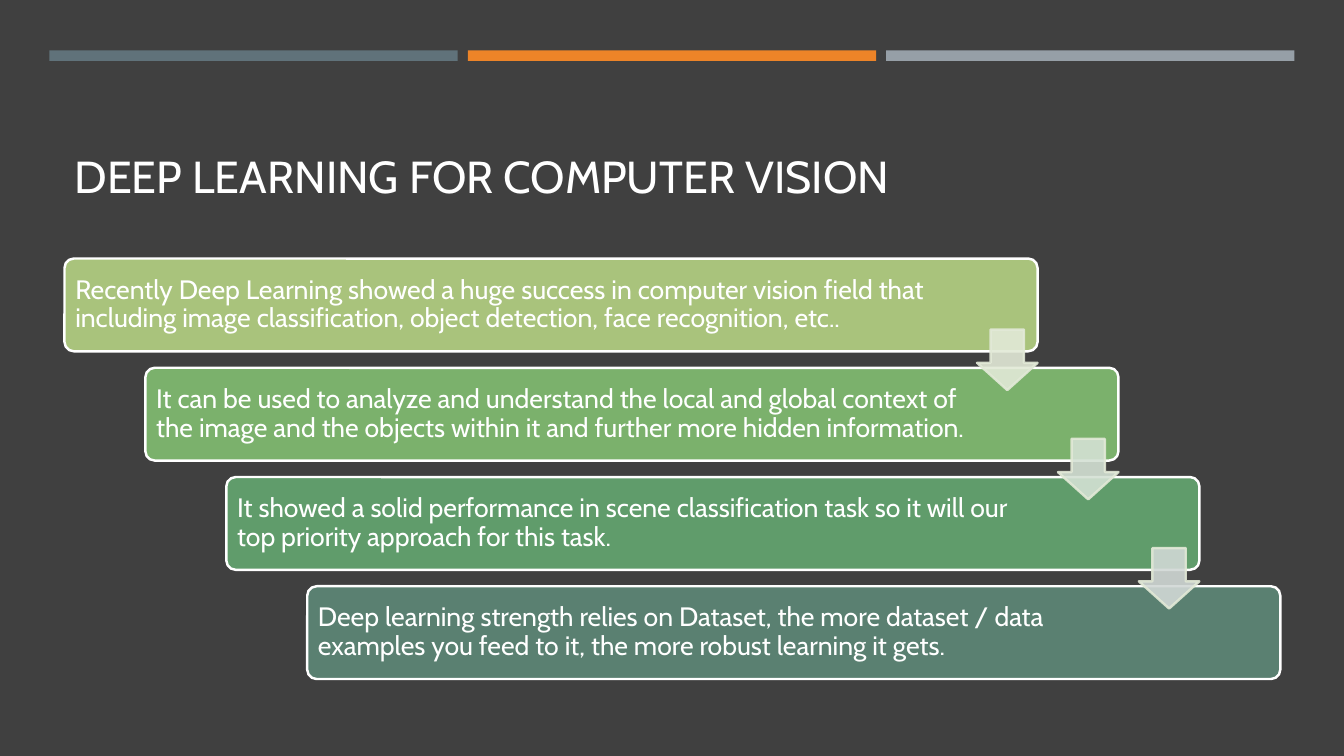
from lxml import etree
from pptx import Presentation
from pptx.dml.color import RGBColor
from pptx.enum.shapes import MSO_SHAPE
from pptx.enum.text import MSO_ANCHOR, MSO_AUTO_SIZE, PP_ALIGN
from pptx.oxml.ns import qn
from pptx.util import Inches, Pt

BAR = MSO_SHAPE.RECTANGLE
STEP = MSO_SHAPE.ROUNDED_RECTANGLE
ARROW = MSO_SHAPE.DOWN_ARROW
MIDDLE, BOTTOM = MSO_ANCHOR.MIDDLE, MSO_ANCHOR.BOTTOM
FIXED, LEFT = MSO_AUTO_SIZE.NONE, PP_ALIGN.LEFT

SLIDE_WIDTH, SLIDE_HEIGHT = Inches(13.33), Inches(7.5)
COLUMN, ROW = SLIDE_WIDTH / 100, SLIDE_HEIGHT / 100

COLORS = {
    "background": "404040",
    "text": "FFFFFF",
    "outline": "FFFFFF",
    "arrow_outline": "E2E9D7",
}
BAR_COLORS = ["60727A", "ED8428", "969FA7"]
ARROW_COLORS = ["E2E9D7", "D4E1D4", "D1D8D5"]

TITLE = "DEEP LEARNING FOR COMPUTER VISION"
STEPS = [
    ("Recently Deep Learning showed a huge success in computer vision field that "
     "including image classification, object detection, face recognition, etc..",
     "A9C37C", 1.1),
    ("It can be used to analyze and understand the local and global context of "
     "the image and the objects within it and further more hidden information.",
     "7BB16C", 1.48),
    ("It showed a solid performance in scene classification task so it will our "
     "top priority approach for this task.",
     "609C6B", 1.48),
    ("Deep learning strength relies on Dataset, the more dataset / data "
     "examples you feed to it, the more robust learning it gets.",
     "5A8071", 1.48),
]

BAR_LEFT, BAR_TOP, BAR_PITCH = 3.68, 6.67, 31.13
BAR_WIDTH, BAR_HEIGHT = 30.38, 1.4
STEP_LEFT, STEP_TOP = 4.8, 34.2
STEP_RIGHTWARD, STEP_DOWNWARD = 6.02, 14.45
STEP_WIDTH, STEP_HEIGHT = 72.4, 12.27
ARROW_WIDTH, ARROW_HEIGHT, ARROW_DROP = 4.5, 8, 9.4


def place(left, top, width, height):
    """Turn percentages of the slide into a box of lengths."""
    return (round(left * COLUMN), round(top * ROW),
            round(width * COLUMN), round(height * ROW))


def set_format(target, values):
    """Set every attribute named in values on the target."""
    for name, value in values.items():
        setattr(target, name, value)


def write(frame, text, size, frame_format):
    """Fill a text frame with one left-aligned paragraph."""
    set_format(frame, {"word_wrap": True, "auto_size": FIXED, **frame_format})
    paragraph = frame.paragraphs[0]
    paragraph.alignment = LEFT
    paragraph.line_spacing = 0.9
    run = paragraph.add_run()
    run.text = text
    set_format(run.font, {"name": "Cabin", "size": Pt(size)})
    run.font.color.rgb = RGBColor.from_string(COLORS["text"])


def add_block(slide, kind, box, fill, outline=None, adjustments=()):
    """Add a flat preset shape, outlined when an outline colour is given."""
    block = slide.shapes.add_shape(kind, *box)
    block.shadow.inherit = False
    block.fill.solid()
    block.fill.fore_color.rgb = RGBColor.from_string(fill)
    if outline:
        block.line.color.rgb = RGBColor.from_string(outline)
        block.line.width = Pt(1.75)
    else:
        block.line.fill.background()
    for index, share in enumerate(adjustments):
        block.adjustments[index] = share
    return block


def add_title(slide):
    """Place and format the title placeholder."""
    heading = slide.shapes.title
    left, top, width, height = place(STEP_LEFT, 10.27, 90.48, 17.33)
    set_format(heading, {"left": left, "top": top, "width": width, "height": height})
    write(heading.text_frame, TITLE, 32, {"vertical_anchor": BOTTOM})


def add_bar(slide, index, color):
    """Add one bar of the coloured strip at the top."""
    box = place(BAR_LEFT + index * BAR_PITCH, BAR_TOP, BAR_WIDTH, BAR_HEIGHT)
    add_block(slide, BAR, box, color)


def add_step(slide, index, text, color, right_margin):
    """Add one step of the staircase with its text."""
    box = place(STEP_LEFT + index * STEP_RIGHTWARD,
                STEP_TOP + index * STEP_DOWNWARD, STEP_WIDTH, STEP_HEIGHT)
    step = add_block(slide, STEP, box, color, COLORS["outline"], [0.1])
    write(step.text_frame, text, 19, {
        "vertical_anchor": MIDDLE,
        "margin_left": Inches(0.08),
        "margin_right": Inches(right_margin),
    })


def add_arrow(slide, index, color):
    """Add the translucent arrow from one step to the next."""
    box = place(STEP_LEFT + STEP_WIDTH - ARROW_WIDTH + index * STEP_RIGHTWARD,
                STEP_TOP + ARROW_DROP + index * STEP_DOWNWARD,
                ARROW_WIDTH, ARROW_HEIGHT)
    arrow = add_block(slide, ARROW, box, color, COLORS["arrow_outline"], [0.55, 0.45])
    for tint in arrow.element.spPr.iter(qn("a:srgbClr")):
        etree.SubElement(tint, qn("a:alpha"), val="90000")


def main():
    """Build the slide and save it."""
    deck = Presentation()
    set_format(deck, {"slide_width": SLIDE_WIDTH, "slide_height": SLIDE_HEIGHT})
    slide = deck.slides.add_slide(deck.slide_layouts.get_by_name("Title Only"))
    slide.background.fill.solid()
    slide.background.fill.fore_color.rgb = RGBColor.from_string(COLORS["background"])
    add_title(slide)
    for index, color in enumerate(BAR_COLORS):
        add_bar(slide, index, color)
    for index, step in enumerate(STEPS):
        add_step(slide, index, *step)
    for index, color in enumerate(ARROW_COLORS):
        add_arrow(slide, index, color)
    deck.save("out.pptx")


if __name__ == "__main__":
    main()
